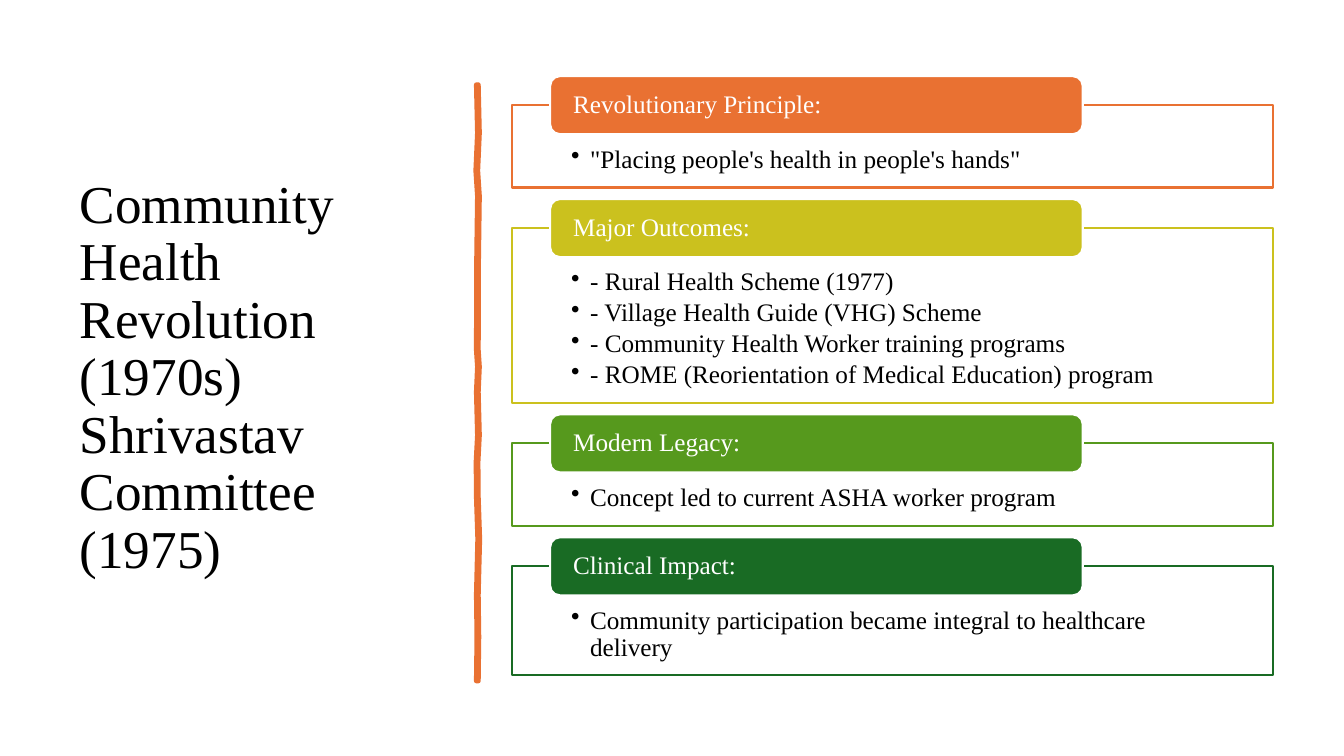
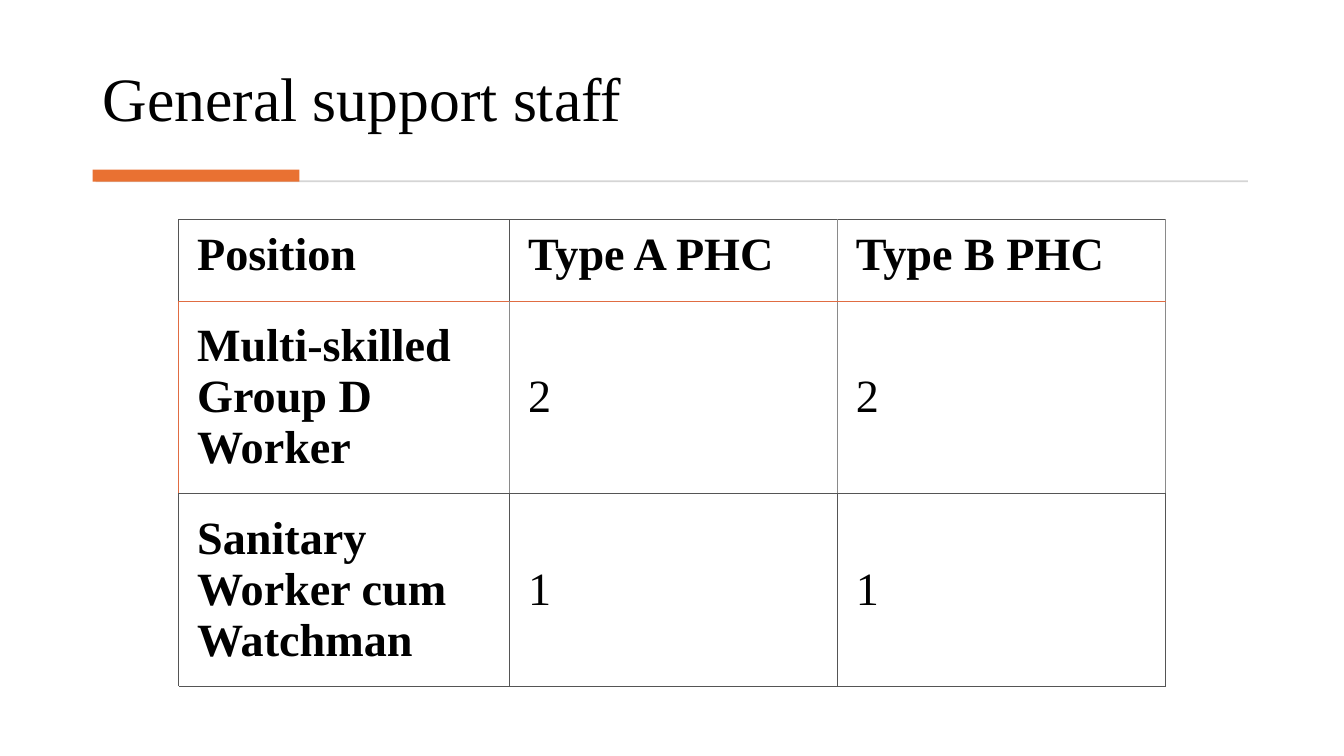
from pptx import Presentation
from pptx.dml.color import RGBColor
from pptx.enum.shapes import MSO_SHAPE
from pptx.enum.text import MSO_ANCHOR, MSO_AUTO_SIZE, PP_ALIGN
from pptx.oxml.ns import qn
from pptx.util import Pt
from lxml.etree import SubElement

FONT = "Times New Roman"
BLACK = RGBColor(0x00, 0x00, 0x00)
WHITE = RGBColor(0xFF, 0xFF, 0xFF)
ORANGE = RGBColor(0xE9, 0x71, 0x32)
YELLOW = RGBColor(0xCB, 0xC1, 0x1E)
LIME = RGBColor(0x56, 0x99, 0x1D)
GREEN = RGBColor(0x19, 0x6B, 0x24)
RULE_GRAY = RGBColor(0xD5, 0xD5, 0xD5)
BORDER_DARK = RGBColor(0x55, 0x55, 0x55)
BORDER_LIGHT = RGBColor(0x8A, 0x8A, 0x8A)
BORDER_ORANGE = RGBColor(0xE0, 0x6C, 0x42)

deck = Presentation()
deck.slide_width, deck.slide_height = Pt(960), Pt(540)


def add_titled_page(text, left, top, width, height, size, anchor):
    page = deck.slides.add_slide(deck.slide_layouts[5])
    title = page.shapes.title
    title.left, title.top = Pt(left), Pt(top)
    title.width, title.height = Pt(width), Pt(height)
    frame = title.text_frame
    frame.text = text
    frame.word_wrap = True
    frame.auto_size = MSO_AUTO_SIZE.NONE
    frame.vertical_anchor = anchor
    for para in frame.paragraphs:
        para.alignment = PP_ALIGN.LEFT
        para.line_spacing = 0.9
        para.font.name, para.font.size = FONT, Pt(size)
        para.font.color.rgb = BLACK
    return page


def add_box(page, kind, left, top, width, height, fill, line=None):
    box = page.shapes.add_shape(kind, Pt(left), Pt(top), Pt(width), Pt(height))
    box.shadow.inherit = False
    box.fill.solid()
    box.fill.fore_color.rgb = fill
    if line is None:
        box.line.fill.background()
    else:
        box.line.color.rgb = line
        box.line.width = Pt(1.5)
    return box


# Slide 1: title on the left
page = add_titled_page(
    "Community Health Revolution (1970s)\nShrivastav Committee (1975)",
    49.7, 50.4, 269.3, 440, 38, MSO_ANCHOR.MIDDLE)

# Hand-drawn divider: centre line with a slight wobble
DIVIDER_HALF_WIDTH = 0.8
bends = [(341, 60.5), (341.8, 95), (340.6, 122), (341.8, 140), (341.2, 185),
         (341, 250), (341.8, 262), (341, 280), (341.8, 311), (340.8, 330),
         (341, 355), (342, 385), (341, 425), (341.4, 455), (341, 486.5)]
outline = [(Pt(x + DIVIDER_HALF_WIDTH), Pt(y)) for x, y in bends]
outline += [(Pt(x - DIVIDER_HALF_WIDTH), Pt(y)) for x, y in reversed(bends)]
builder = page.shapes.build_freeform(*outline[0])
builder.add_line_segments(outline[1:], close=True)
divider = builder.convert_to_shape()
divider.shadow.inherit = False
divider.fill.solid()
divider.fill.fore_color.rgb = ORANGE
divider.line.color.rgb = ORANGE
divider.line.width = Pt(3.25)

# Stacked panels, each with a heading tab over its top edge
panels = [
    ("Revolutionary Principle:", ORANGE, 59,
     ["\"Placing people's health in people's hands\""]),
    ("Major Outcomes:", YELLOW, 125,
     ["- Rural Health Scheme (1977)",
      "- Village Health Guide (VHG) Scheme",
      "- Community Health Worker training programs",
      "- ROME (Reorientation of Medical Education) program"]),
    ("Modern Legacy:", LIME, 59,
     ["Concept led to current ASHA worker program"]),
    ("Clinical Impact:", GREEN, 78,
     ["Community participation became integral to healthcare delivery"]),
]
PANEL_GAP, TAB_HEIGHT, TAB_RISE = 28.8, 41.4, 20.6
top = 75
for heading, colour, height, points in panels:
    panel = add_box(page, MSO_SHAPE.RECTANGLE, 365.8, top, 543.6, height, WHITE, colour)
    frame = panel.text_frame
    frame.word_wrap = True
    frame.vertical_anchor = MSO_ANCHOR.TOP
    frame.margin_left = frame.margin_right = Pt(42.2)
    frame.margin_top, frame.margin_bottom = Pt(29.5), Pt(10)
    frame.text = "\n".join(points)
    for para in frame.paragraphs:
        properties = para._p.get_or_add_pPr()
        properties.set("marL", str(Pt(13.5)))
        properties.set("indent", str(Pt(-13.5)))
        SubElement(properties, qn("a:buChar")).set("char", "•")
        para.alignment = PP_ALIGN.LEFT
        para.line_spacing = 0.9
        para.space_after = Pt(2.7)
        para.font.name, para.font.size = FONT, Pt(18)
        para.font.color.rgb = BLACK

    tab = add_box(page, MSO_SHAPE.ROUNDED_RECTANGLE, 393, top - TAB_RISE,
                  380.4, TAB_HEIGHT, colour, WHITE)
    frame = tab.text_frame
    frame.word_wrap = True
    frame.vertical_anchor = MSO_ANCHOR.MIDDLE
    frame.margin_left = frame.margin_right = Pt(14.4)
    frame.margin_top = frame.margin_bottom = 0
    frame.text = heading
    para = frame.paragraphs[0]
    para.alignment = PP_ALIGN.LEFT
    para.line_spacing = 0.9
    para.font.name, para.font.size = FONT, Pt(18)
    para.font.color.rgb = WHITE
    top += height + PANEL_GAP

# Slide 2: title with a rule and accent bar below
page = add_titled_page("General support staff", 66.2, 20.2, 827.3, 80, 44,
                       MSO_ANCHOR.BOTTOM)
add_box(page, MSO_SHAPE.RECTANGLE, 68.4, 128.8, 823, 1.4, RULE_GRAY)
add_box(page, MSO_SHAPE.RECTANGLE, 66.2, 121.2, 147.6, 8.6, ORANGE)

# Staff table
rows = [
    ["Position", "Type A PHC", "Type B PHC"],
    ["Multi-skilled Group D Worker", "2", "2"],
    ["Sanitary Worker cum Watchman", "1", "1"],
]
column_widths = [236.4, 234.2, 234.2]
row_heights = [58, 137.5, 137.5]
# Border colours: vertical edges of each row, then horizontal edges
vertical_edges = [
    [BORDER_DARK, BORDER_DARK, BORDER_LIGHT, BORDER_LIGHT],
    [BORDER_ORANGE, BORDER_LIGHT, BORDER_LIGHT, BORDER_LIGHT],
    [BORDER_DARK] * 4,
]
horizontal_edges = [BORDER_DARK, BORDER_ORANGE, BORDER_DARK, BORDER_DARK]

table = page.shapes.add_table(3, 3, Pt(127.8), Pt(157), Pt(sum(column_widths)),
                              Pt(sum(row_heights))).table
table.first_row = table.horz_banding = False
for column, width in zip(table.columns, column_widths):
    column.width = Pt(width)
for r, texts in enumerate(rows):
    table.rows[r].height = Pt(row_heights[r])
    for c, text in enumerate(texts):
        cell = table.cell(r, c)
        cell.text = text
        cell.margin_left = cell.margin_right = Pt(13)
        cell.margin_top = cell.margin_bottom = Pt(6.5)
        cell.vertical_anchor = MSO_ANCHOR.MIDDLE if r else MSO_ANCHOR.TOP
        font = cell.text_frame.paragraphs[0].font
        font.name, font.size = FONT, Pt(33)
        font.bold = r == 0 or c == 0
        font.color.rgb = BLACK
        edges = {"a:lnL": vertical_edges[r][c], "a:lnR": vertical_edges[r][c + 1],
                 "a:lnT": horizontal_edges[r], "a:lnB": horizontal_edges[r + 1]}
        for tag, colour in edges.items():
            edge = SubElement(cell._tc.get_or_add_tcPr(), qn(tag), w=str(Pt(0.75)))
            paint = SubElement(edge, qn("a:solidFill"))
            SubElement(paint, qn("a:srgbClr"), val=str(colour))
        cell.fill.background()

deck.save("out.pptx")
